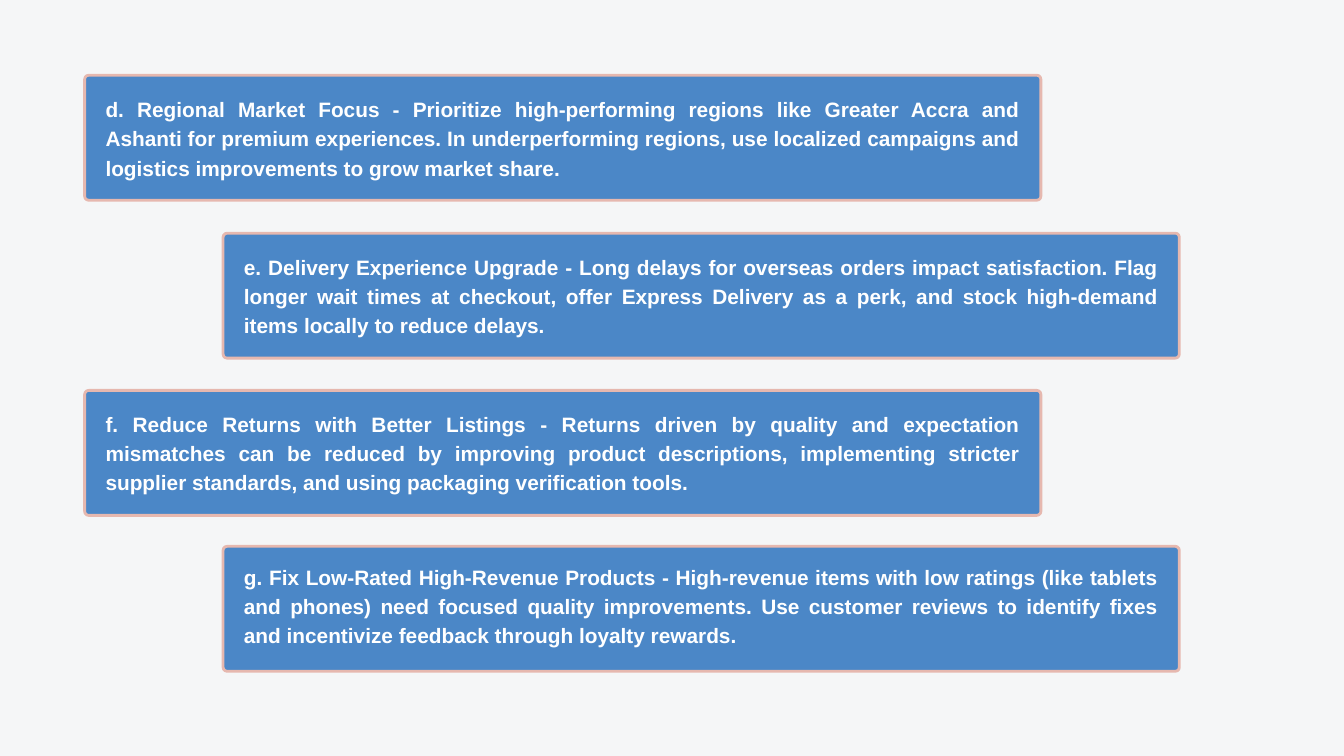
import pptx
import pptx.dml.color
import pptx.enum.shapes
import pptx.enum.text
import pptx.util

PX = 9144  # EMU per px, at 100 px to the inch
SLIDE_W, SLIDE_H = 2000, 1125
CARD_W, CARD_H, CARD_RADIUS = 1423, 186, 6
TEXT_W, TEXT_H, TEXT_INDENT = 1361, 175, 31
LEFT_COLUMN, RIGHT_COLUMN = 126, 332

# Card top, text top, wording
RECOMMENDATIONS = [
    (112, 138, "d. Regional Market Focus - Prioritize high-performing regions like "
               "Greater Accra and Ashanti for premium experiences. In underperforming "
               "regions, use localized campaigns and logistics improvements to grow "
               "market share."),
    (347, 372, "e. Delivery Experience Upgrade - Long delays for overseas orders impact "
               "satisfaction. Flag longer wait times at checkout, offer Express Delivery "
               "as a perk, and stock high-demand items locally to reduce delays."),
    (581, 606, "f. Reduce Returns with Better Listings - Returns driven by quality and "
               "expectation mismatches can be reduced by improving product descriptions, "
               "implementing stricter supplier standards, and using packaging "
               "verification tools."),
    (813, 834, "g. Fix Low-Rated High-Revenue Products - High-revenue items with low "
               "ratings (like tablets and phones) need focused quality improvements. Use "
               "customer reviews to identify fixes and incentivize feedback through "
               "loyalty rewards."),
]


def color(hex_string):
    return pptx.dml.color.RGBColor.from_string(hex_string)


def px(*lengths):
    return [pptx.util.Emu(length * PX) for length in lengths]


def write(frame, text, *, font, size, ink, bold, line_height, align):
    paragraph = frame.paragraphs[0]
    paragraph.alignment = align
    paragraph.line_spacing = pptx.util.Pt(line_height)
    run = paragraph.add_run()
    run.text = text
    run.font.name = font
    run.font.size = pptx.util.Pt(size)
    run.font.bold = bold
    run.font.color.rgb = color(ink)


class Deck:
    background = "F5F6F7"
    card_fill = "4B87C7"
    card_border = "E6B8AF"
    body = dict(font="Arial", size=22.3, ink="FFFFFF", bold=True, line_height=31.3,
                align=pptx.enum.text.PP_ALIGN.JUSTIFY)

    def __init__(self, slide):
        self.slide = slide
        slide.background.fill.solid()
        slide.background.fill.fore_color.rgb = color(self.background)

    def panel(self, group, left, top):
        panel = group.shapes.add_shape(
            pptx.enum.shapes.MSO_SHAPE.ROUNDED_RECTANGLE, *px(left, top, CARD_W, CARD_H))
        panel.adjustments[0] = CARD_RADIUS / CARD_H
        panel.shadow.inherit = False
        panel.fill.solid()
        panel.fill.fore_color.rgb = color(self.card_fill)
        panel.line.color.rgb = color(self.card_border)
        panel.line.width = pptx.util.Pt(3)

    def body_text(self, group, left, top, text):
        box = group.shapes.add_textbox(*px(left, top, TEXT_W, TEXT_H))
        frame = box.text_frame
        frame.word_wrap = True
        frame.auto_size = pptx.enum.text.MSO_AUTO_SIZE.SHAPE_TO_FIT_TEXT
        frame.margin_left = frame.margin_right = 0
        frame.margin_top = frame.margin_bottom = 0
        write(frame, text, **self.body)

    def card(self, left, top, text_top, text):
        group = self.slide.shapes.add_group_shape()
        self.panel(group, left, top)
        self.body_text(group, left + TEXT_INDENT, text_top, text)


def main():
    presentation = pptx.Presentation()
    presentation.slide_width, presentation.slide_height = px(SLIDE_W, SLIDE_H)
    blank_layout = presentation.slide_layouts[6]
    deck = Deck(presentation.slides.add_slide(blank_layout))

    # Recommendation cards alternate between the two columns
    for index, (top, text_top, text) in enumerate(RECOMMENDATIONS):
        left = RIGHT_COLUMN if index % 2 else LEFT_COLUMN
        deck.card(left, top, text_top, text)

    presentation.save("out.pptx")


if __name__ == "__main__":
    main()
